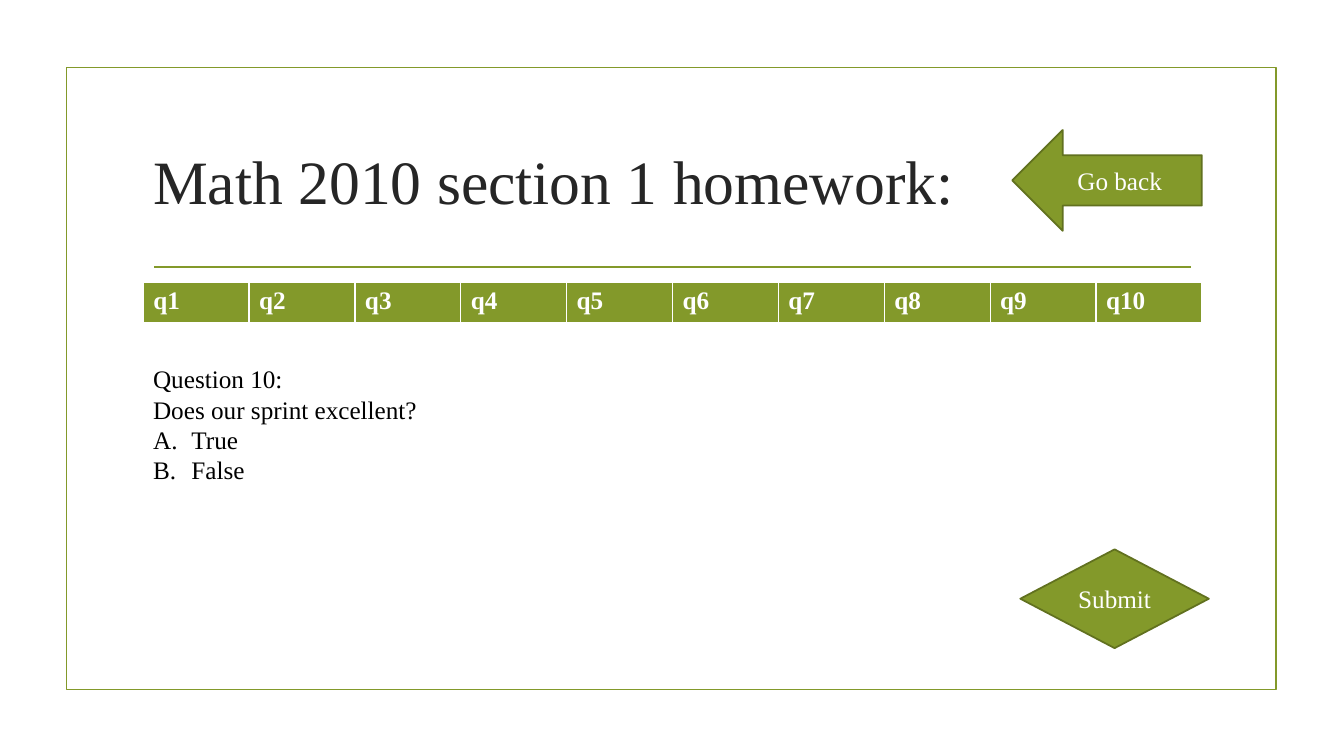
"""Build the homework slide for question 10."""
from lxml.etree import SubElement
from pptx import Presentation
from pptx.dml.color import RGBColor
from pptx.enum.shapes import MSO_CONNECTOR, MSO_SHAPE
from pptx.enum.text import MSO_ANCHOR, PP_ALIGN
from pptx.oxml.ns import qn
from pptx.util import Emu, Pt

PX = 9144
FONT = "Times New Roman"
GREEN = RGBColor(0x83, 0x99, 0x2A)
DARK_GREEN = RGBColor(0x61, 0x71, 0x1F)
WHITE = RGBColor(0xFF, 0xFF, 0xFF)
BLACK = RGBColor(0x00, 0x00, 0x00)
CHARCOAL = RGBColor(0x26, 0x26, 0x26)
LEFT, WIDTH = 142, 1050


def px(*lengths):
    return [Emu(length * PX) for length in lengths]


def write(frame, lines, color, size=18, bold=False):
    frame.text = "\n".join(lines)
    for para in frame.paragraphs:
        for span in para.runs:
            span.font.name = FONT
            span.font.size = Pt(size)
            span.font.bold = bold
            span.font.color.rgb = color


deck = Presentation()
deck.slide_width, deck.slide_height = px(1333, 750)
page = deck.slides.add_slide(deck.slide_layouts[6])

border = page.shapes.add_shape(MSO_SHAPE.RECTANGLE, *px(66, 67, 1200, 617))
border.shadow.inherit = False
border.fill.background()
border.line.color.rgb = GREEN
border.line.width = Pt(1.25)

divider = page.shapes.add_connector(MSO_CONNECTOR.STRAIGHT, *px(153, 265, 1181, 265))
divider.line.color.rgb = GREEN
divider.line.width = Pt(1.25)
SubElement(divider.element.spPr, qn("a:effectLst"))

title = page.shapes.add_textbox(*px(LEFT, 107, WIDTH, 143)).text_frame
title.word_wrap = True
title.vertical_anchor = MSO_ANCHOR.MIDDLE
write(title, ["Math 2010 section 1 homework:"], CHARCOAL, size=44)

table = page.shapes.add_table(1, 10, *px(LEFT, 280, WIDTH, 41)).table
for number, cell in enumerate(table.iter_cells(), start=1):
    write(cell.text_frame, [f"q{number}"], WHITE, bold=True)
    properties = cell._tc.get_or_add_tcPr()
    for side, points in (("lnL", 1), ("lnR", 1), ("lnT", 1), ("lnB", 3)):
        edge = SubElement(properties, qn(f"a:{side}"), w=str(Pt(points)))
        edge_fill = SubElement(edge, qn("a:solidFill"))
        SubElement(edge_fill, qn("a:srgbClr"), val=str(WHITE))
    cell.fill.solid()
    cell.fill.fore_color.rgb = GREEN

question = page.shapes.add_textbox(*px(LEFT, 356, WIDTH, 131)).text_frame
question.word_wrap = True
write(question, ["Question 10:", "Does our sprint excellent?", "True", "False"], BLACK)
indent = px(38)[0]
for answer in question.paragraphs[2:]:
    properties = answer._p.get_or_add_pPr()
    properties.set("marL", str(indent))
    properties.set("indent", str(-indent))
    SubElement(properties, qn("a:buFont"), typeface="+mj-lt")
    SubElement(properties, qn("a:buAutoNum"), type="alphaUcPeriod")

buttons = [
    ("Go back", MSO_SHAPE.LEFT_ARROW, (1004, 129, 188, 100)),
    ("Submit", MSO_SHAPE.DIAMOND, (1012, 545, 187, 98)),
]
for label, outline, place in buttons:
    button = page.shapes.add_shape(outline, *px(*place))
    button.shadow.inherit = False
    button.fill.solid()
    button.fill.fore_color.rgb = GREEN
    button.line.color.rgb = DARK_GREEN
    button.line.width = Pt(1.25)
    button.text_frame.word_wrap = False
    button.text_frame.vertical_anchor = MSO_ANCHOR.MIDDLE
    write(button.text_frame, [label], WHITE)
    button.text_frame.paragraphs[0].alignment = PP_ALIGN.CENTER

deck.save("out.pptx")
